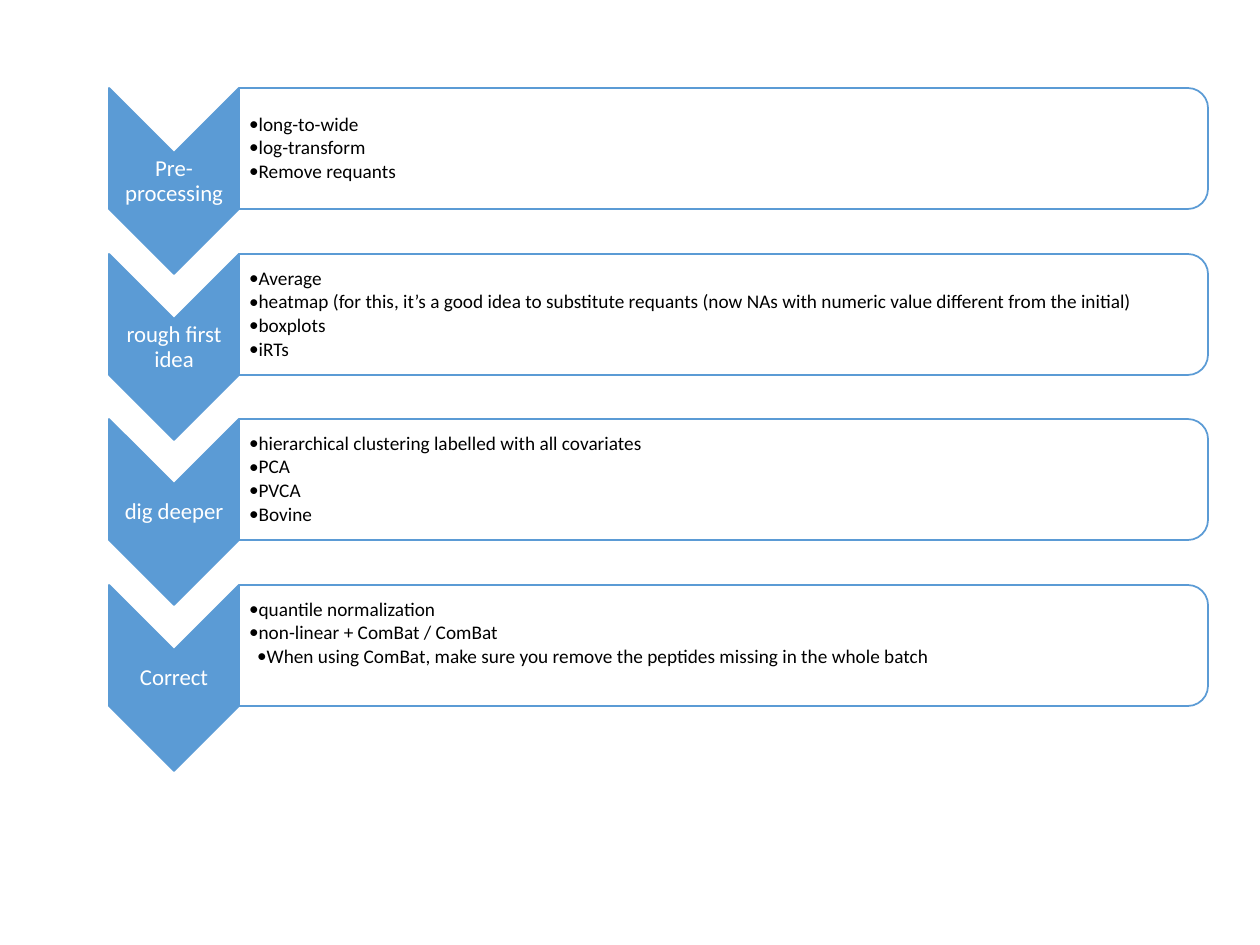
from dataclasses import dataclass

from lxml import etree
from pptx import Presentation
from pptx import util as u
from pptx.dml.color import RGBColor
from pptx.enum import shapes, text
from pptx.oxml.ns import qn

EMU_PER_PX = 914400 / 126
BLUE, WHITE, BLACK = "5B9BD5", "FFFFFF", "000000"
FONT = "Calibri"
FIRST_TOP = 88
TWO_STEPS_HEIGHT = 331
BULLET_INDENT = 8


@dataclass(frozen=True)
class Frame:
    left: int
    top: int
    width: int
    height: int

    def emu(self) -> list[int]:
        return [px(side) for side in (self.left, self.top, self.width, self.height)]


@dataclass(frozen=True)
class Bullet:
    text: str
    level: int = 1


@dataclass(frozen=True)
class Step:
    label: str
    bullets: tuple[Bullet, ...]
    bottom_inset: int = 1


STEPS = (
    Step("Pre-processing", (
        Bullet("long-to-wide"),
        Bullet("log-transform"),
        Bullet("Remove requants"),
    )),
    Step("rough first idea", (
        Bullet("Average"),
        Bullet("heatmap (for this, it’s a good idea to substitute requants "
               "(now NAs with numeric value different from the initial)"),
        Bullet("boxplots"),
        Bullet("iRTs"),
    )),
    Step("dig deeper", (
        Bullet("hierarchical clustering labelled with all covariates"),
        Bullet("PCA"),
        Bullet("PVCA"),
        Bullet("Bovine"),
    )),
    Step("Correct", (
        Bullet("quantile normalization"),
        Bullet("non-linear + ComBat / ComBat"),
        Bullet("When using ComBat, make sure you remove the peptides "
               "missing in the whole batch", level=2),
    ), bottom_inset=25),
)


def px(length: float) -> int:
    return round(length * EMU_PER_PX)


def color(value: str) -> RGBColor:
    return RGBColor.from_string(value)


def add_turned_shape(slide, kind, frame: Frame, fill: str):
    left, top, width, height = frame.emu()
    shift = (width - height) // 2
    shape = slide.shapes.add_shape(kind, left + shift, top - shift, height, width)
    shape.rotation = 90
    shape.shadow.inherit = False
    shape.fill.solid()
    shape.fill.fore_color.rgb = color(fill)
    shape.line.color.rgb = color(BLUE)
    shape.line.width = u.Pt(1)
    return shape


def set_opacity(shape, percent: int) -> None:
    fill_color = shape._element.spPr.find(qn("a:solidFill"))[0]
    etree.SubElement(fill_color, qn("a:alpha"), val=str(percent * 1000))


def add_text_frame(slide, frame: Frame, left_inset: int = 1, bottom_inset: int = 1):
    text_frame = slide.shapes.add_textbox(*frame.emu()).text_frame
    text_frame.word_wrap = True
    text_frame.vertical_anchor = text.MSO_ANCHOR.MIDDLE
    text_frame.margin_left = px(left_inset)
    text_frame.margin_top = text_frame.margin_right = px(1)
    text_frame.margin_bottom = px(bottom_inset)
    return text_frame


def write(paragraph, words: str, *, size: int, fill: str,
          align=text.PP_ALIGN.LEFT, after: float = 0, bullet_level: int = 0) -> None:
    paragraph.alignment = align
    paragraph.line_spacing = 0.9
    paragraph.space_after = u.Pt(after)
    run = paragraph.add_run()
    run.text = words
    run.font.name = FONT
    run.font.size = u.Pt(size)
    run.font.color.rgb = color(fill)
    if bullet_level:
        paragraph.level = bullet_level
        properties = paragraph._p.get_or_add_pPr()
        properties.set("marL", str(px(BULLET_INDENT * bullet_level)))
        properties.set("indent", str(-px(BULLET_INDENT)))
        etree.SubElement(properties, qn("a:buFont"), typeface=FONT)
        etree.SubElement(properties, qn("a:buChar"), char="•")


def add_step(slide, step: Step, top: int) -> None:
    add_turned_shape(slide, shapes.MSO_SHAPE.CHEVRON, Frame(109, top, 130, 186), BLUE)
    label = add_text_frame(slide, Frame(109, top + 66, 130, 55))
    write(label.paragraphs[0], step.label, size=13, fill=WHITE,
          align=text.PP_ALIGN.CENTER)

    panel = add_turned_shape(slide, shapes.MSO_SHAPE.ROUND_2_SAME_RECTANGLE,
                             Frame(239, top, 969, 121), WHITE)
    set_opacity(panel, 90)
    body = add_text_frame(slide, Frame(238, top + 6, 964, 109),
                          left_inset=11, bottom_inset=step.bottom_inset)
    for index, bullet in enumerate(step.bullets):
        paragraph = body.add_paragraph() if index else body.paragraphs[0]
        write(paragraph, bullet.text, size=11, fill=BLACK, after=1.65,
              bullet_level=bullet.level)


def main() -> None:
    presentation = Presentation()
    presentation.slide_width = px(1260)
    presentation.slide_height = px(945)
    slide = presentation.slides.add_slide(presentation.slide_layouts[6])
    for index, step in enumerate(STEPS):
        add_step(slide, step, FIRST_TOP + (index * TWO_STEPS_HEIGHT + 1) // 2)
    presentation.save("out.pptx")


if __name__ == "__main__":
    main()
